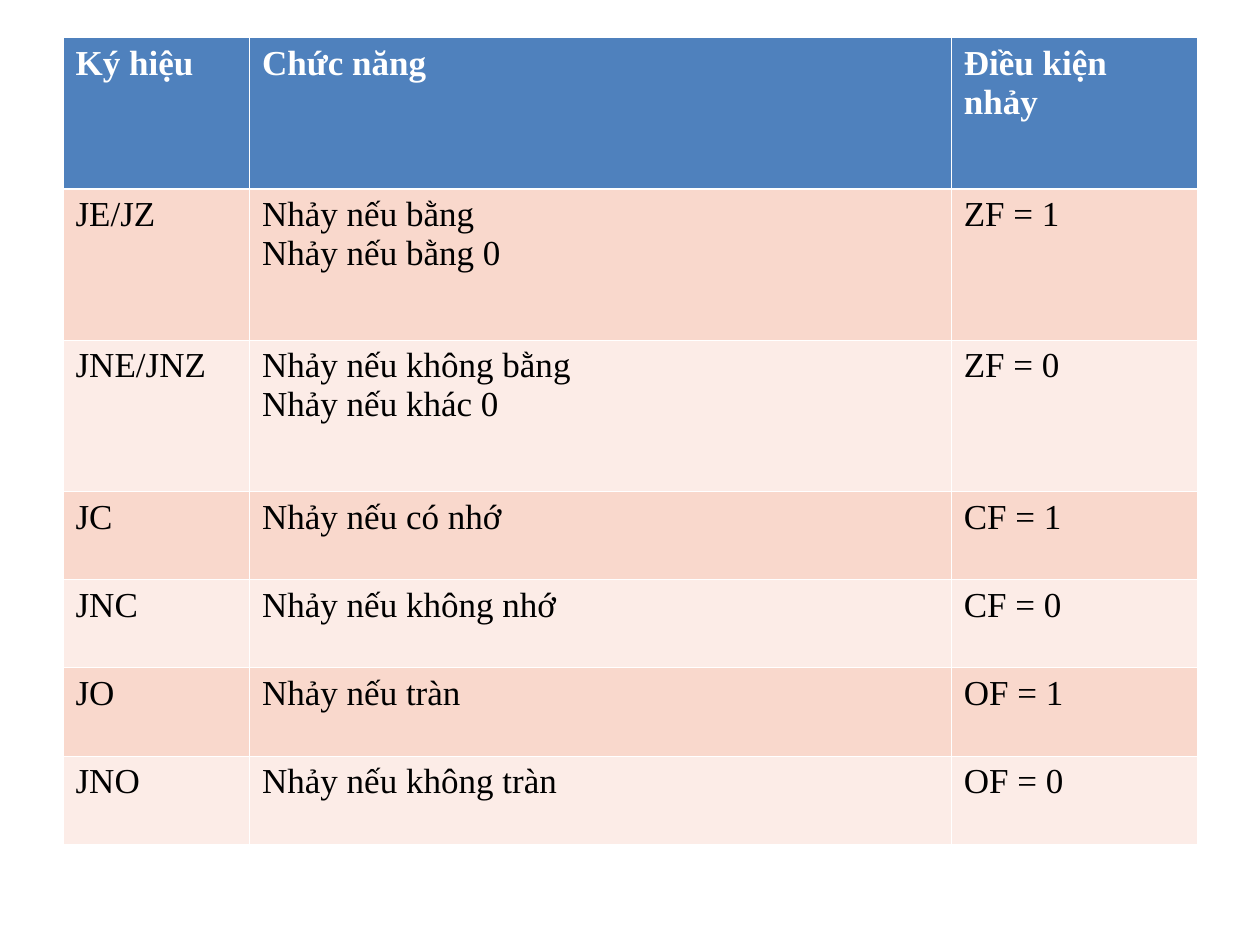
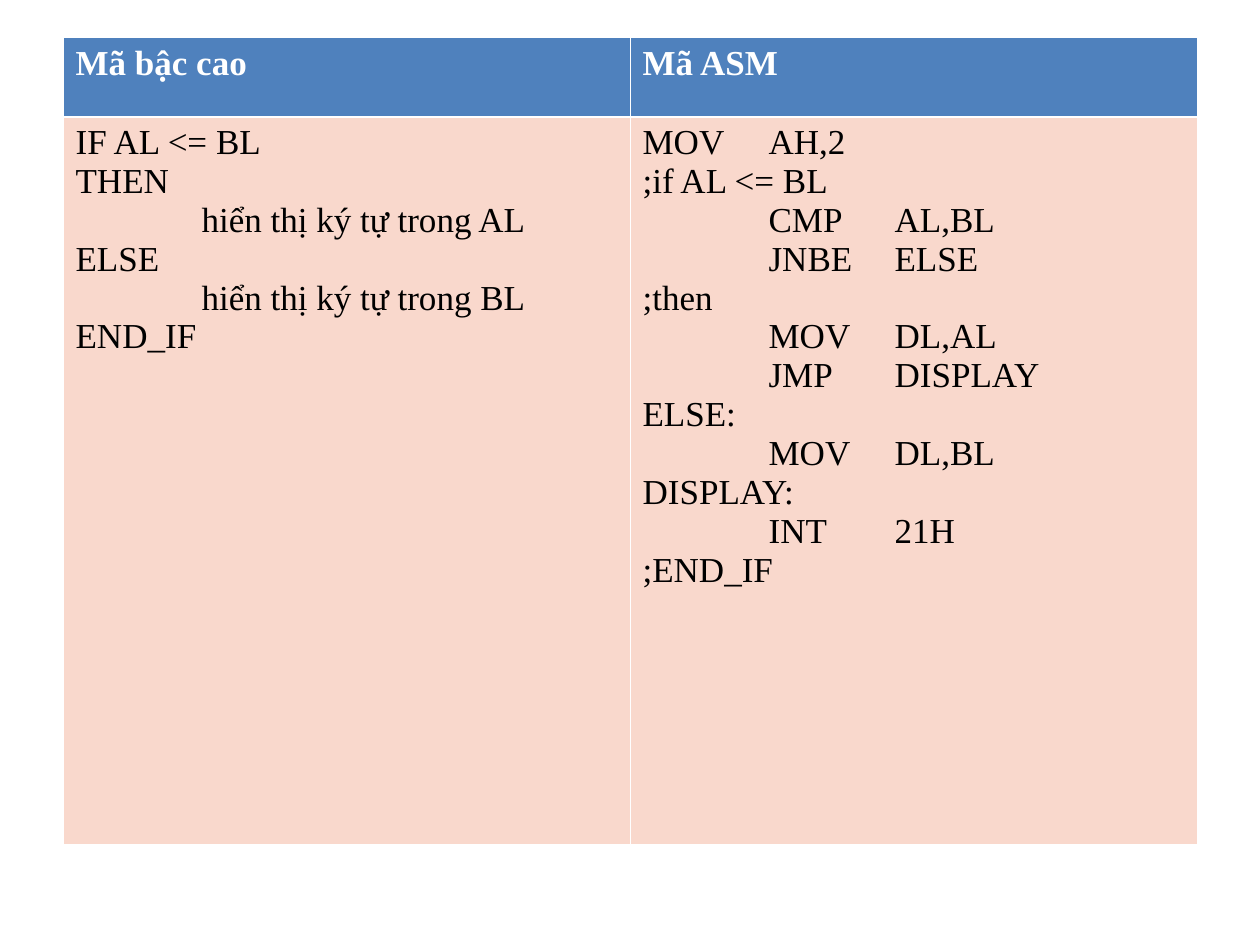
from dataclasses import dataclass

from lxml import etree
from pptx import Presentation
from pptx import util as u
from pptx.dml.color import RGBColor
from pptx.oxml.ns import qn
from pptx.presentation import Presentation as Deck
from pptx.table import _Cell as Cell


@dataclass(frozen=True)
class Theme:
    font: str = "Times New Roman"
    size: float = 20
    header_fill: str = "4F81BD"
    header_text: str = "FFFFFF"
    body_text: str = "000000"
    bands: tuple[str, str] = ("F9D8CC", "FCECE7")
    border: str = "FFFFFF"
    thin: float = 0.45
    thick: float = 1.47


@dataclass(frozen=True)
class TableSlide:
    columns: tuple[float, ...]
    heights: tuple[float, ...]
    rows: tuple[tuple[str, ...], ...]


THEME = Theme()
BLANK_LAYOUT = 6
LEFT, TOP = 0.5, 0.3
TAB_STOPS = range(8)

JUMP_CONDITIONS = TableSlide(
    columns=(1.48, 5.57, 1.95),
    heights=(1.2,) * 3 + (0.7,) * 4,
    rows=(
        ("Ký hiệu", "Chức năng", "Điều kiện nhảy"),
        ("JE/JZ", "Nhảy nếu bằng\nNhảy nếu bằng 0", "ZF = 1"),
        ("JNE/JNZ", "Nhảy nếu không bằng\nNhảy nếu khác 0", "ZF = 0"),
        ("JC", "Nhảy nếu có nhớ", "CF = 1"),
        ("JNC", "Nhảy nếu không nhớ", "CF = 0"),
        ("JO", "Nhảy nếu tràn", "OF = 1"),
        ("JNO", "Nhảy nếu không tràn", "OF = 0"),
    ),
)

HIGH_LEVEL_CODE = """IF AL <= BL
THEN
\thiển thị ký tự trong AL
ELSE
\thiển thị ký tự trong BL
END_IF"""

ASSEMBLY_CODE = """MOV \tAH,2
;if AL <= BL
\tCMP\tAL,BL
\tJNBE\tELSE
;then
\tMOV\tDL,AL
\tJMP\tDISPLAY
ELSE:
\tMOV\tDL,BL
DISPLAY:
\tINT\t21H
;END_IF"""

IF_ELSE_CODE = TableSlide(
    columns=(4.5, 4.5),
    heights=(0.63, 5.77),
    rows=(("Mã bậc cao", "Mã ASM"), (HIGH_LEVEL_CODE, ASSEMBLY_CODE)),
)


def set_borders(cell: Cell, row: int) -> None:
    widths = {
        "L": THEME.thin,
        "R": THEME.thin,
        "T": THEME.thick if row == 1 else THEME.thin,
        "B": THEME.thick if row == 0 else THEME.thin,
    }
    properties = cell._tc.get_or_add_tcPr()
    for side, width in widths.items():
        line = etree.SubElement(properties, qn(f"a:ln{side}"), w=str(u.Pt(width)))
        fill = etree.SubElement(line, qn("a:solidFill"))
        etree.SubElement(fill, qn("a:srgbClr"), val=THEME.border)


def fill_cell(cell: Cell, content: str, row: int) -> None:
    is_header = row == 0
    set_borders(cell, row)
    cell.fill.solid()
    cell.fill.fore_color.rgb = RGBColor.from_string(
        THEME.header_fill if is_header else THEME.bands[(row - 1) % 2]
    )
    cell.text_frame.text = content
    for paragraph in cell.text_frame.paragraphs:
        tabs = etree.SubElement(paragraph._p.get_or_add_pPr(), qn("a:tabLst"))
        for stop in TAB_STOPS:
            etree.SubElement(tabs, qn("a:tab"), pos=str(u.Inches(stop)), algn="l")
        for run in paragraph.runs:
            run.font.name = THEME.font
            run.font.size = u.Pt(THEME.size)
            run.font.bold = is_header
            run.font.color.rgb = RGBColor.from_string(
                THEME.header_text if is_header else THEME.body_text
            )


def add_table_slide(presentation: Deck, content: TableSlide) -> None:
    slide = presentation.slides.add_slide(presentation.slide_layouts[BLANK_LAYOUT])
    table = slide.shapes.add_table(
        len(content.rows),
        len(content.columns),
        u.Inches(LEFT),
        u.Inches(TOP),
        u.Inches(sum(content.columns)),
        u.Inches(sum(content.heights)),
    ).table
    for column, width in zip(table.columns, content.columns):
        column.width = u.Inches(width)
    for row, height in zip(table.rows, content.heights):
        row.height = u.Inches(height)
    for row_index, texts in enumerate(content.rows):
        for column_index, cell_text in enumerate(texts):
            fill_cell(table.cell(row_index, column_index), cell_text, row_index)


def main() -> None:
    presentation = Presentation()
    presentation.slide_width = u.Inches(10)
    presentation.slide_height = u.Inches(7.5)
    for content in (JUMP_CONDITIONS, IF_ELSE_CODE):
        add_table_slide(presentation, content)
    presentation.save("out.pptx")


if __name__ == "__main__":
    main()
